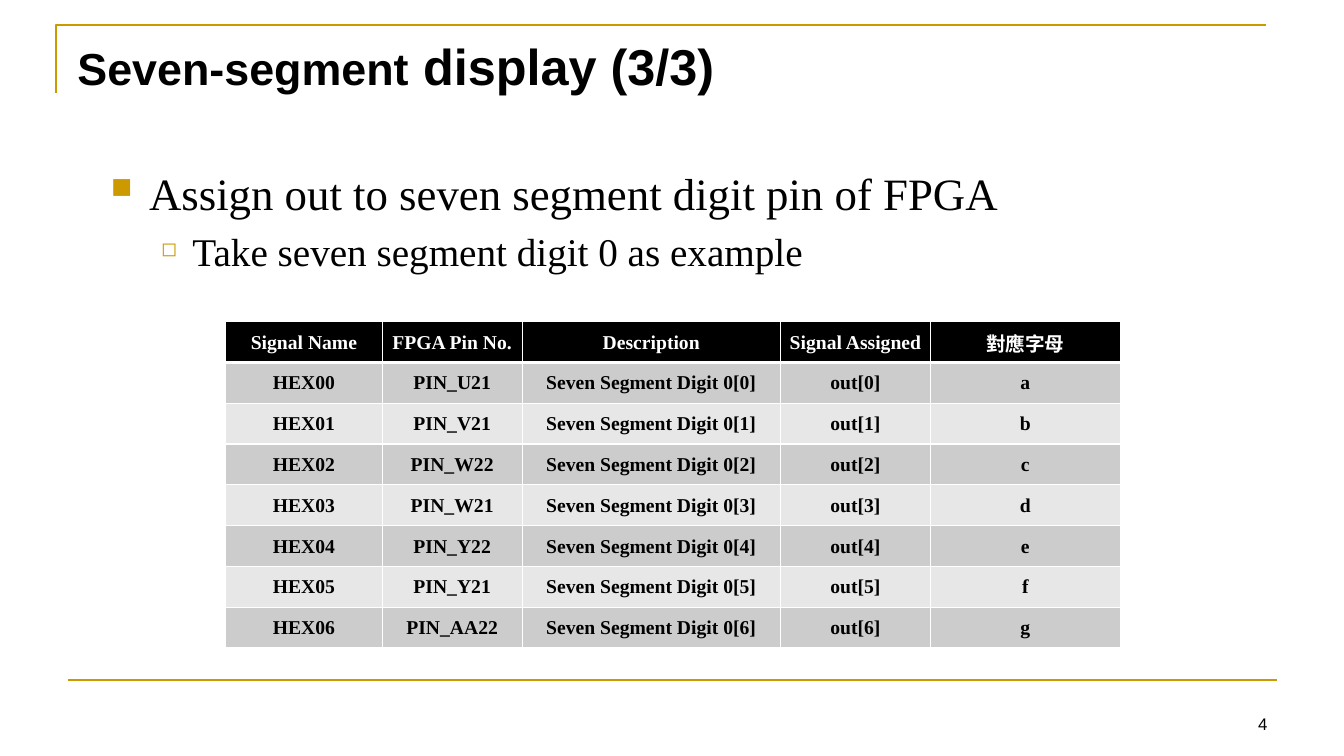
from lxml import etree
from pptx import Presentation
from pptx.dml.color import RGBColor
from pptx.enum.shapes import MSO_CONNECTOR
from pptx.enum.text import MSO_ANCHOR, PP_ALIGN
from pptx.oxml.ns import qn
from pptx.util import Inches, Pt

LEFT, CENTER, RIGHT = PP_ALIGN.LEFT, PP_ALIGN.CENTER, PP_ALIGN.RIGHT
TOP, MIDDLE, BOTTOM = MSO_ANCHOR.TOP, MSO_ANCHOR.MIDDLE, MSO_ANCHOR.BOTTOM
STRAIGHT = MSO_CONNECTOR.STRAIGHT

WIDE, HIGH = 13.33, 7.5
COLORS = {"gold": "CC9900", "black": "000000", "white": "FFFFFF",
          "dark": "CCCCCC", "light": "E7E7E7"}
SANS, SERIF = "Arial", "Times New Roman"

TITLE = [("Seven-segment", 32), (" display (3/3)", 36)]
# text, size, indent level, left margin, hanging indent, bullet, bullet size in %
POINTS = [
    ("Assign out to seven segment digit pin of FPGA", 32, 0, 0.38, 0.38, "■", 65),
    ("Take seven segment digit 0 as example", 28, 1, 0.81, 0.31, "◻", 50),
]
NUMBER = "4"
HEAD = ["Signal Name", "FPGA Pin No.", "Description", "Signal Assigned", "對應字母"]
PINS = ["U21", "V21", "W22", "W21", "Y22", "Y21", "AA22"]
ROWS = [HEAD] + [
    [f"HEX0{i}", f"PIN_{pin}", f"Seven Segment Digit 0[{i}]", f"out[{i}]", "abcdefg"[i]]
    for i, pin in enumerate(PINS)
]
COLS = [1.55, 1.39, 2.56, 1.49, 1.88]
ROW = 0.405
GRID = (2.24, 3.19)


def rgb(name):
    return RGBColor.from_string(COLORS[name])


def add_run(para, text, size, face, color="black", bold=False):
    run = para.add_run()
    run.text = text
    for key, value in {"size": Pt(size), "name": face, "bold": bold}.items():
        setattr(run.font, key, value)
    run.font.color.rgb = rgb(color)


def add_box(slide, left, top, width, height, anchor=TOP):
    box = slide.shapes.add_textbox(*map(Inches, (left, top, width, height)))
    frame = box.text_frame
    frame.word_wrap = True
    frame.vertical_anchor = anchor
    return frame


def add_bullet(para, mark, share):
    props = para._p.get_or_add_pPr()
    color = etree.SubElement(props, qn("a:buClr"))
    etree.SubElement(color, qn("a:srgbClr"), val=COLORS["gold"])
    etree.SubElement(props, qn("a:buSzPct"), val=str(share * 1000))
    etree.SubElement(props, qn("a:buChar"), char=mark)


def add_edges(cell, head):
    """Draw white cell borders, with a heavier one under the heading."""
    props = cell._tc.get_or_add_tcPr()
    for place, side in enumerate("LRTB"):
        width = Pt(3 if head and side == "B" else 1)
        edge = etree.Element(qn(f"a:ln{side}"), w=str(width))
        fill = etree.SubElement(edge, qn("a:solidFill"))
        etree.SubElement(fill, qn("a:srgbClr"), val=COLORS["white"])
        props.insert(place, edge)


def add_rules(slide):
    build = slide.shapes.build_freeform(Inches(0.56), Inches(0.92), scale=1.0)
    build.add_line_segments(
        [(Inches(0.56), Inches(0.25)), (Inches(12.56), Inches(0.25))], close=False)
    corner = build.convert_to_shape()
    corner.shadow.inherit = False
    corner.fill.background()
    base = slide.shapes.add_connector(
        STRAIGHT, *map(Inches, (0.67, 6.75, 12.67, 6.75)))
    etree.SubElement(base._element.spPr, qn("a:effectLst"))
    for rule in (corner, base):
        rule.line.color.rgb = rgb("gold")
        rule.line.width = Pt(1.5)


def add_points(slide):
    frame = add_box(slide, 1, 1.59, 10.09, 3.44)
    for i, (text, size, level, left, hang, mark, share) in enumerate(POINTS):
        para = frame.add_paragraph() if i else frame.paragraphs[0]
        para.level = level
        para.space_before = Pt(size * 0.2)
        props = para._p.get_or_add_pPr()
        props.set("marL", str(Inches(left)))
        props.set("indent", str(-Inches(hang)))
        add_bullet(para, mark, share)
        add_run(para, text, size, SERIF)


def add_pins(slide):
    size = (sum(COLS), ROW * len(ROWS))
    table = slide.shapes.add_table(
        len(ROWS), len(COLS), *map(Inches, GRID + size)).table
    for col, width in zip(table.columns, COLS):
        col.width = Inches(width)
    for i, row in enumerate(ROWS):
        table.rows[i].height = Inches(ROW)
        back = ("dark" if i % 2 else "light") if i else "black"
        for j, text in enumerate(row):
            cell = table.cell(i, j)
            style = {"vertical_anchor": MIDDLE, "margin_left": Inches(0.01),
                     "margin_right": Inches(0.01), "margin_top": Inches(0.01),
                     "margin_bottom": 0}
            for key, value in style.items():
                setattr(cell, key, value)
            cell.fill.solid()
            cell.fill.fore_color.rgb = rgb(back)
            add_edges(cell, i == 0)
            para = cell.text_frame.paragraphs[0]
            para.alignment = CENTER
            add_run(para, text, 14, SERIF, "black" if i else "white", True)


def main():
    deck = Presentation()
    deck.slide_width, deck.slide_height = Inches(WIDE), Inches(HIGH)
    slide = deck.slides.add_slide(deck.slide_layouts[6])
    add_rules(slide)

    number = add_box(slide, 9.56, 6.83, 3.11, 0.5, BOTTOM).paragraphs[0]
    number.alignment = RIGHT
    add_run(number, NUMBER, 12, SANS)

    title = add_box(slide, 0.67, 0.3, 12.41, 1.32).paragraphs[0]
    title.alignment = LEFT
    for text, size in TITLE:
        add_run(title, text, size, SANS, bold=True)

    add_points(slide)
    add_pins(slide)
    deck.save("out.pptx")


if __name__ == "__main__":
    main()
